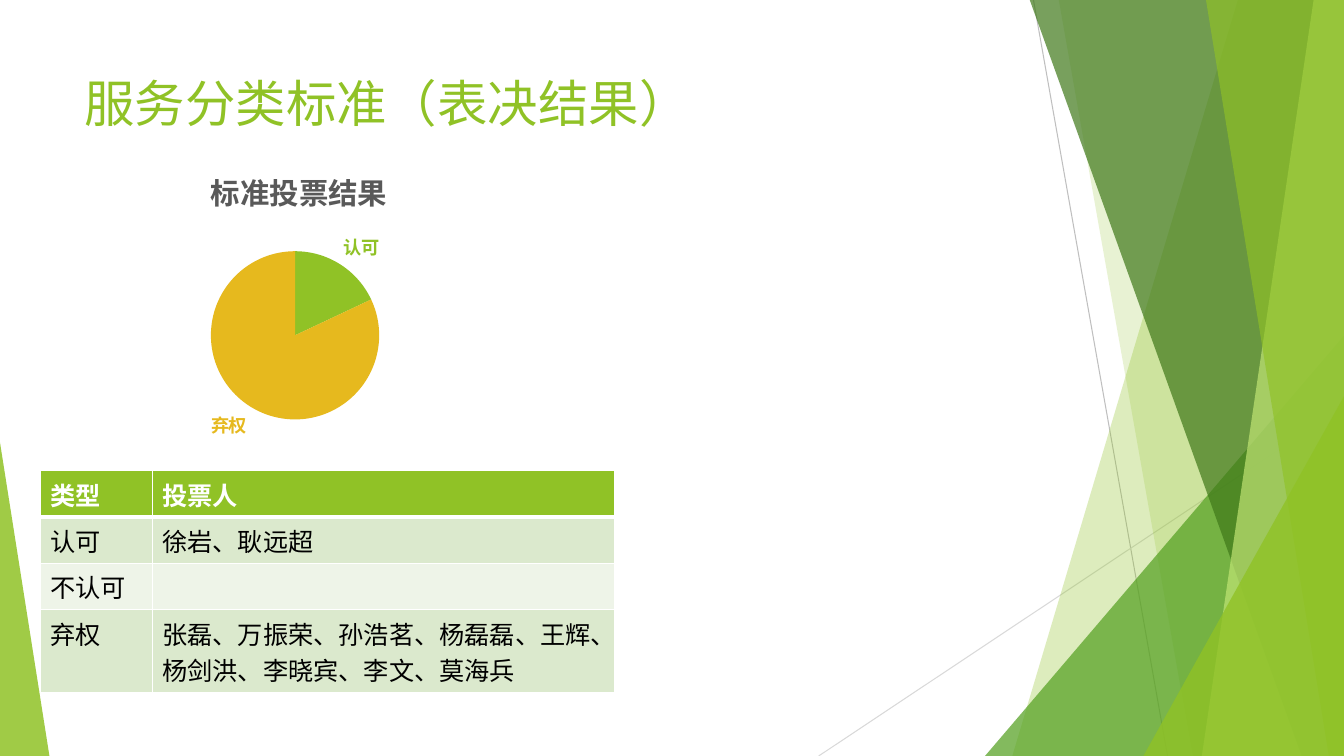
from lxml.etree import SubElement
from pptx import Presentation
from pptx.chart.data import CategoryChartData
from pptx.dml.color import RGBColor
from pptx.enum.chart import XL_CHART_TYPE as ChartType, XL_LABEL_POSITION as LabelPosition
from pptx.enum.shapes import MSO_CONNECTOR as Connector, MSO_SHAPE as Shape
from pptx.oxml import parse_xml
from pptx.oxml.ns import nsdecls, qn
from pptx.util import Pt

PX = 9144  # EMU in one px, at 100 px to the inch
WIDTH, HEIGHT = 1333, 750

WHITE = RGBColor(0xFF, 0xFF, 0xFF)
BLACK = RGBColor(0x00, 0x00, 0x00)
DARK_GRAY = RGBColor(0x59, 0x59, 0x59)
GRAY = RGBColor(0xBF, 0xBF, 0xBF)
LIGHT_GRAY = RGBColor(0xD9, 0xD9, 0xD9)
LIME = RGBColor(0x90, 0xC2, 0x26)
PALE_LIME = RGBColor(0xC0, 0xE4, 0x74)
GREEN = RGBColor(0x54, 0xA0, 0x21)
DARK_GREEN = RGBColor(0x3F, 0x78, 0x19)
GOLD = RGBColor(0xE6, 0xB9, 0x1E)
BAND_DARK = RGBColor(0xDB, 0xE9, 0xCD)
BAND_LIGHT = RGBColor(0xEE, 0xF4, 0xE8)


class SlideBuilder:
    """Draws styled elements on one slide; lengths are in px."""

    font_name = "Karla"

    def __init__(self, slide):
        self.slide = slide
        self.shapes = slide.shapes

    def style_font(self, font, size, color, bold=False):
        font.name = self.font_name
        font.size = Pt(size)
        font.bold = bold
        font.color.rgb = color

    def style_text(self, frame, text, size, color, bold=False):
        frame.text = text
        for para in frame.paragraphs:
            for span in para.runs:
                self.style_font(span.font, size, color, bold)

    def paint(self, shape, color, opacity):
        """Fill with a colour at an opacity in percent, without outline or shadow."""
        shape.shadow.inherit = False
        shape.line.fill.background()
        shape.fill.solid()
        shape.fill.fore_color.rgb = color
        tone = shape.fill._xPr.find(qn("a:solidFill"))[0]
        SubElement(tone, qn("a:alpha")).set("val", str(opacity * 1000))

    def line(self, start, end, color):
        ends = [value * PX for value in (*start, *end)]
        connector = self.shapes.add_connector(Connector.STRAIGHT, *ends)
        connector.line.color.rgb = color
        connector.line.width = Pt(0.75)
        SubElement(connector._element.spPr, qn("a:effectLst"))

    def shard(self, top_left, top_right, bottom_left, color, opacity):
        """Full-height quadrilateral that ends at the right edge of the slide."""
        builder = self.shapes.build_freeform(top_left, -1, scale=PX)
        builder.add_line_segments([(top_right, -1), (WIDTH, HEIGHT), (bottom_left, HEIGHT)])
        self.paint(builder.convert_to_shape(), color, opacity)

    def triangle(self, left, top, width, apex, color, opacity):
        """Triangle standing on the bottom edge; apex runs from 0 (left) to 1 (right)."""
        box = [value * PX for value in (left, top, width, HEIGHT - top)]
        shape = self.shapes.add_shape(Shape.ISOSCELES_TRIANGLE, *box)
        shape.adjustments[0] = apex
        self.paint(shape, color, opacity)

    def title(self, left, top, width, height, text):
        box = self.shapes.add_textbox(left * PX, top * PX, width * PX, height * PX)
        box.text_frame.word_wrap = True
        self.style_text(box.text_frame, text, 36, LIME)

    def place(self, parent, position, **fractions):
        """Give a chart part a fixed place, in fractions of the chart."""
        for old in parent.findall(qn("c:layout")):
            parent.remove(old)
        layout = parse_xml(f"<c:layout {nsdecls('c')}><c:manualLayout/></c:layout>")
        manual = layout[0]
        if "w" in fractions:
            SubElement(manual, qn("c:layoutTarget")).set("val", "inner")
        for mode in ("xMode", "yMode"):
            SubElement(manual, qn(f"c:{mode}")).set("val", "edge")
        for name, value in fractions.items():
            SubElement(manual, qn(f"c:{name}")).set("val", str(value))
        parent.insert(position, layout)

    def pie(self, left, top, width, height, title, votes):
        """votes: (category, value, colour) for each slice."""
        data = CategoryChartData()
        data.categories = [category for category, _, _ in votes]
        data.add_series("Series 1", [value for _, value, _ in votes])
        box = [value * PX for value in (left, top, width, height)]
        chart = self.shapes.add_chart(ChartType.PIE, *box, data).chart
        self.style_font(chart.font, 10, BLACK)
        chart.has_legend = False
        chart.has_title = True
        self.style_text(chart.chart_title.text_frame, title, 21, DARK_GRAY, True)
        self.place(chart.chart_title._element, 1, x=0.3, y=0.07)
        self.place(chart._chartSpace.chart.plotArea, 0, x=0.31, y=0.35, w=0.39, h=0.53)

        plot = chart.plots[0]
        plot.vary_by_categories = True
        series = plot.series[0]
        series.data_labels.show_value = False
        for index, (_, value, color) in enumerate(votes):
            point = series.points[index]
            point.format.fill.solid()
            point.format.fill.fore_color.rgb = color
            if value:
                self.style_font(point.data_label.font, 13, color, True)
                point.data_label.position = LabelPosition.OUTSIDE_END
        for label in series.data_labels._element.findall(qn("c:dLbl")):
            label.find(qn("c:showVal")).set("val", "0")
            label.find(qn("c:showCatName")).set("val", "1")

    def border(self, cell, **widths):
        """Draw white cell borders; widths in points by side: L, R, T, B."""
        properties = cell._tc.get_or_add_tcPr()
        for position, (side, points) in enumerate(widths.items()):
            properties.insert(position, parse_xml(
                f'<a:ln{side} {nsdecls("a")} w="{Pt(points)}"><a:solidFill>'
                f'<a:srgbClr val="{WHITE}"/></a:solidFill></a:ln{side}>'))

    def table(self, left, top, column_widths, row_heights, rows):
        box = [value * PX for value in (left, top, sum(column_widths), sum(row_heights))]
        table = self.shapes.add_table(len(rows), len(column_widths), *box).table
        for column, width in zip(table.columns, column_widths):
            column.width = width * PX
        for row, height in zip(table.rows, row_heights):
            row.height = height * PX
        for index, texts in enumerate(rows):
            header = index == 0
            fill = LIME if header else (BAND_LIGHT, BAND_DARK)[index % 2]
            for column, text in enumerate(texts):
                cell = table.cell(index, column)
                cell.fill.solid()
                cell.fill.fore_color.rgb = fill
                self.style_text(cell.text_frame, text, 18, WHITE if header else BLACK, header)
                self.border(cell, L=1, R=1, T=3 if index == 1 else 1, B=3 if header else 1)


def main():
    deck = Presentation()
    deck.slide_width, deck.slide_height = WIDTH * PX, HEIGHT * PX
    page = SlideBuilder(deck.slides.add_slide(deck.slide_layouts[6]))

    page.line((1025, 0), (1158, HEIGHT), GRAY)
    page.line((WIDTH, 403), (812, HEIGHT), LIGHT_GRAY)
    page.shard(1228, WIDTH, 1004, LIME, 30)
    page.shard(1050, WIDTH, 1183, LIME, 20)
    page.triangle(977, 333, 356, 1, GREEN, 72)
    page.shard(1021, WIDTH, 1291, DARK_GREEN, 70)
    page.shard(1303, WIDTH, 1192, PALE_LIME, 70)
    page.shard(1196, WIDTH, 1318, LIME, 65)
    page.triangle(1134, 393, 199, 1, LIME, 80)
    page.triangle(0, 439, 49, 0, LIME, 85)

    page.title(74, 67, 940, 144, "服务分类标准（表决结果）")
    page.pie(74, 139, 433, 315, "标准投票结果", [
        ("认可", 18, LIME), ("不认可", 0, GREEN), ("弃权", 82, GOLD)])
    page.table(40, 467, [111, 459], [46, 46, 46, 82], [
        ("类型", "投票人"),
        ("认可", "徐岩、耿远超"),
        ("不认可", ""),
        ("弃权", "张磊、万振荣、孙浩茗、杨磊磊、王辉、杨剑洪、李晓宾、李文、莫海兵"),
    ])
    deck.save("out.pptx")


if __name__ == "__main__":
    main()
